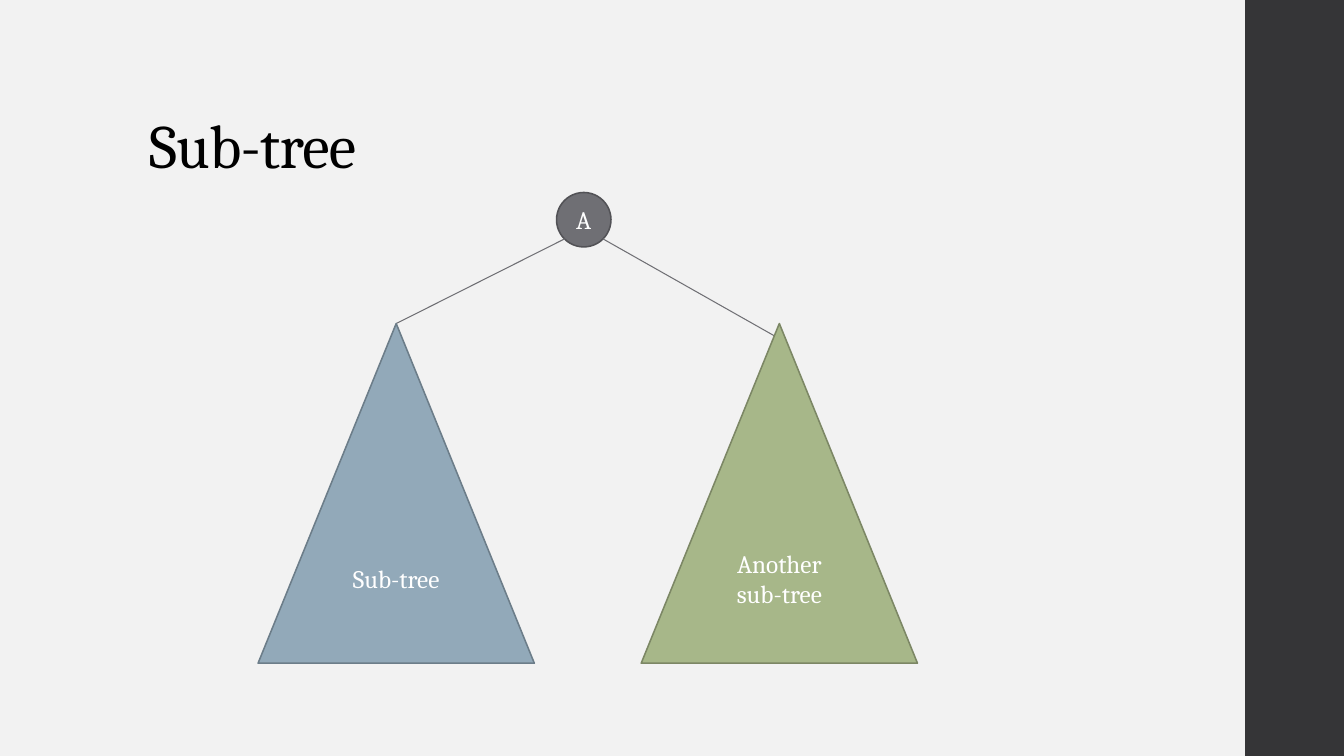
"""Build the slide that shows a root node with two sub-trees."""
import dataclasses

import lxml.etree
import pptx
import pptx.dml.color
import pptx.enum.shapes
import pptx.enum.text
import pptx.oxml.ns
import pptx.util

Inches = pptx.util.Inches
Pt = pptx.util.Pt
Shape = pptx.enum.shapes.MSO_SHAPE
Anchor = pptx.enum.text.MSO_ANCHOR
rgb = pptx.dml.color.RGBColor.from_string


@dataclasses.dataclass(frozen=True)
class Theme:
    font: str = "Cambria"
    title_size: float = 44
    label_size: float = 18
    outline: float = 1.1
    branch_width: float = 0.75
    background: str = "F2F2F2"
    band: str = "353537"
    title: str = "000000"
    label: str = "FFFFFF"
    root: str = "6F6F74"
    root_edge: str = "525256"
    left: str = "92A9B9"
    left_edge: str = "6C7D89"
    right: str = "A7B789"
    right_edge: str = "7C8765"


theme = Theme()


def add_run(paragraph, text, size, color):
    run = paragraph.add_run()
    run.text = text
    run.font.name = theme.font
    run.font.size = Pt(size)
    run.font.color.rgb = rgb(color)
    return run


def add_node(kind, left, top, width, height, fill, edge, label):
    node = slide.shapes.add_shape(kind, Inches(left), Inches(top), Inches(width), Inches(height))
    node.shadow.inherit = False
    node.fill.solid()
    node.fill.fore_color.rgb = rgb(fill)
    node.line.color.rgb = rgb(edge)
    node.line.width = Pt(theme.outline)
    node.text_frame.vertical_anchor = Anchor.MIDDLE
    paragraph = node.text_frame.paragraphs[0]
    paragraph.alignment = pptx.enum.text.PP_ALIGN.CENTER
    add_run(paragraph, label, theme.label_size, theme.label)


deck = pptx.Presentation()
deck.slide_width = Inches(13.33)
deck.slide_height = Inches(7.5)
slide = deck.slides.add_slide(deck.slide_layouts[5])
slide.background.fill.solid()
slide.background.fill.fore_color.rgb = rgb(theme.background)

band = slide.shapes.add_shape(Shape.RECTANGLE, Inches(12.35), 0, Inches(1), Inches(7.5))
band.shadow.inherit = False
band.fill.solid()
band.fill.fore_color.rgb = rgb(theme.band)
band.line.fill.background()

heading = slide.shapes.title
heading.left, heading.top = Inches(1.38), Inches(0.4)
heading.width, heading.height = Inches(10.6), Inches(1.45)
heading.text_frame.vertical_anchor = Anchor.BOTTOM
heading.text_frame.word_wrap = True
heading_line = heading.text_frame.paragraphs[0]
heading_line.alignment = pptx.enum.text.PP_ALIGN.LEFT
heading_line.line_spacing = 0.9
heading_run = add_run(heading_line, "Sub-tree", theme.title_size, theme.title)
heading_run.font._element.set("spc", "-50")

add_node(Shape.OVAL, 5.52, 1.91, 0.54, 0.54, theme.root, theme.root_edge, "A")

for start_x, end_x, end_y in [(5.6, 3.93, 3.21), (5.98, 7.73, 3.36)]:
    branch = slide.shapes.add_connector(
        pptx.enum.shapes.MSO_CONNECTOR.STRAIGHT,
        Inches(start_x), Inches(2.37), Inches(end_x), Inches(end_y))
    branch.line.color.rgb = rgb(theme.root)
    branch.line.width = Pt(theme.branch_width)
    lxml.etree.SubElement(branch._element.spPr, pptx.oxml.ns.qn("a:effectLst"))

for left, fill, edge, label in [
    (2.56, theme.left, theme.left_edge, "Sub-tree"),
    (6.36, theme.right, theme.right_edge, "Another sub-tree"),
]:
    add_node(Shape.ISOSCELES_TRIANGLE, left, 3.21, 2.74, 3.37, fill, edge, label)

deck.save("out.pptx")
